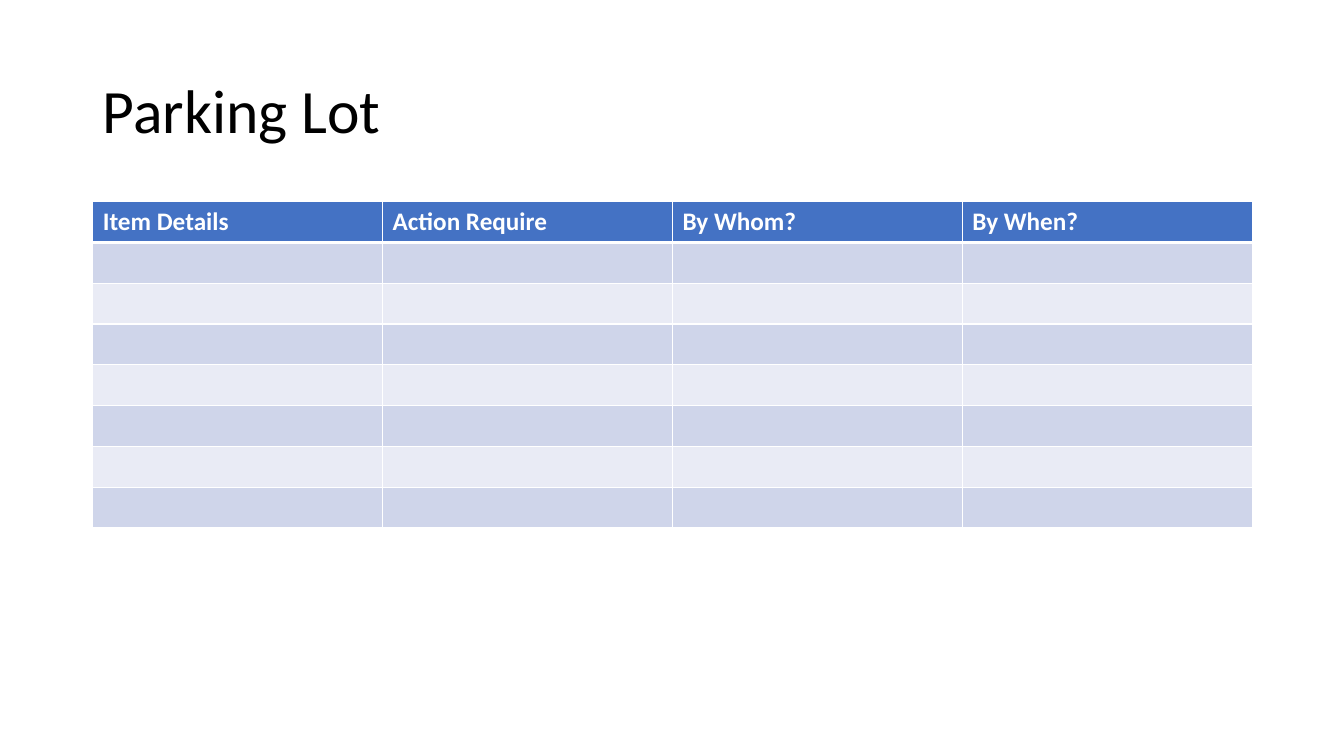
from dataclasses import dataclass

from lxml import etree
from pptx import Presentation
from pptx import util as u
from pptx.dml import color
from pptx.enum import text
from pptx.oxml import ns

COLORS = {
    "title": "000000",
    "header": "4472C4",
    "dark_band": "CFD5EA",
    "light_band": "E9EBF5",
    "white": "FFFFFF",
}
HEADINGS = ["Item Details", "Action Require", "By Whom?", "By When?"]
BLANK_ROWS = 7
LEFT, WIDTH = 0.92, 11.5
TABLE_TOP, TABLE_HEIGHT = 2, 3.24
THIN, THICK = 1, 3


@dataclass(frozen=True)
class TableRow:
    fill: str
    labels: list[str]
    top: float = THIN
    bottom: float = THIN


def set_format(target, values: dict) -> None:
    for name, value in values.items():
        setattr(target, name, value)


def write_text(paragraph, wording: str, size: float, fill: str, bold: bool) -> None:
    run = paragraph.add_run()
    run.text = wording
    set_format(run.font, {"name": "Calibri", "size": u.Pt(size), "bold": bold})
    run.font.color.rgb = color.RGBColor.from_string(COLORS[fill])


def add_title(slide, wording: str) -> None:
    shape = slide.shapes.add_textbox(
        u.Inches(LEFT), u.Inches(0.4), u.Inches(WIDTH), u.Inches(1.45)
    )
    set_format(
        shape.text_frame,
        {"word_wrap": True, "vertical_anchor": text.MSO_ANCHOR.MIDDLE},
    )
    paragraph = shape.text_frame.paragraphs[0]
    paragraph.line_spacing = 0.9
    write_text(paragraph, wording, 44, "title", False)


def add_borders(cell, top: float, bottom: float) -> None:
    properties = cell._tc.get_or_add_tcPr()
    widths = {"lnL": THIN, "lnR": THIN, "lnT": top, "lnB": bottom}
    for position, (tag, width) in enumerate(widths.items()):
        line = etree.Element(ns.qn(f"a:{tag}"), w=str(u.Pt(width)))
        fill = etree.SubElement(line, ns.qn("a:solidFill"))
        etree.SubElement(fill, ns.qn("a:srgbClr"), val=COLORS["white"])
        properties.insert(position, line)


def add_action_table(slide, rows: list[TableRow]) -> None:
    table = slide.shapes.add_table(
        len(rows),
        len(HEADINGS),
        u.Inches(LEFT),
        u.Inches(TABLE_TOP),
        u.Inches(WIDTH),
        u.Inches(TABLE_HEIGHT),
    ).table
    for row_index, row in enumerate(rows):
        for column_index, label in enumerate(row.labels):
            cell = table.cell(row_index, column_index)
            cell.fill.solid()
            cell.fill.fore_color.rgb = color.RGBColor.from_string(COLORS[row.fill])
            add_borders(cell, row.top, row.bottom)
            if label:
                write_text(cell.text_frame.paragraphs[0], label, 18, "white", True)


def main() -> None:
    presentation = Presentation()
    set_format(
        presentation,
        {"slide_width": u.Inches(13.33), "slide_height": u.Inches(7.5)},
    )
    slide = presentation.slides.add_slide(presentation.slide_layouts[6])
    add_title(slide, "Parking Lot")
    rows = [TableRow("header", HEADINGS, bottom=THICK)]
    for index in range(BLANK_ROWS):
        fill = "light_band" if index % 2 else "dark_band"
        top = THIN if index else THICK
        rows.append(TableRow(fill, [""] * len(HEADINGS), top=top))
    add_action_table(slide, rows)
    presentation.save("out.pptx")


if __name__ == "__main__":
    main()
